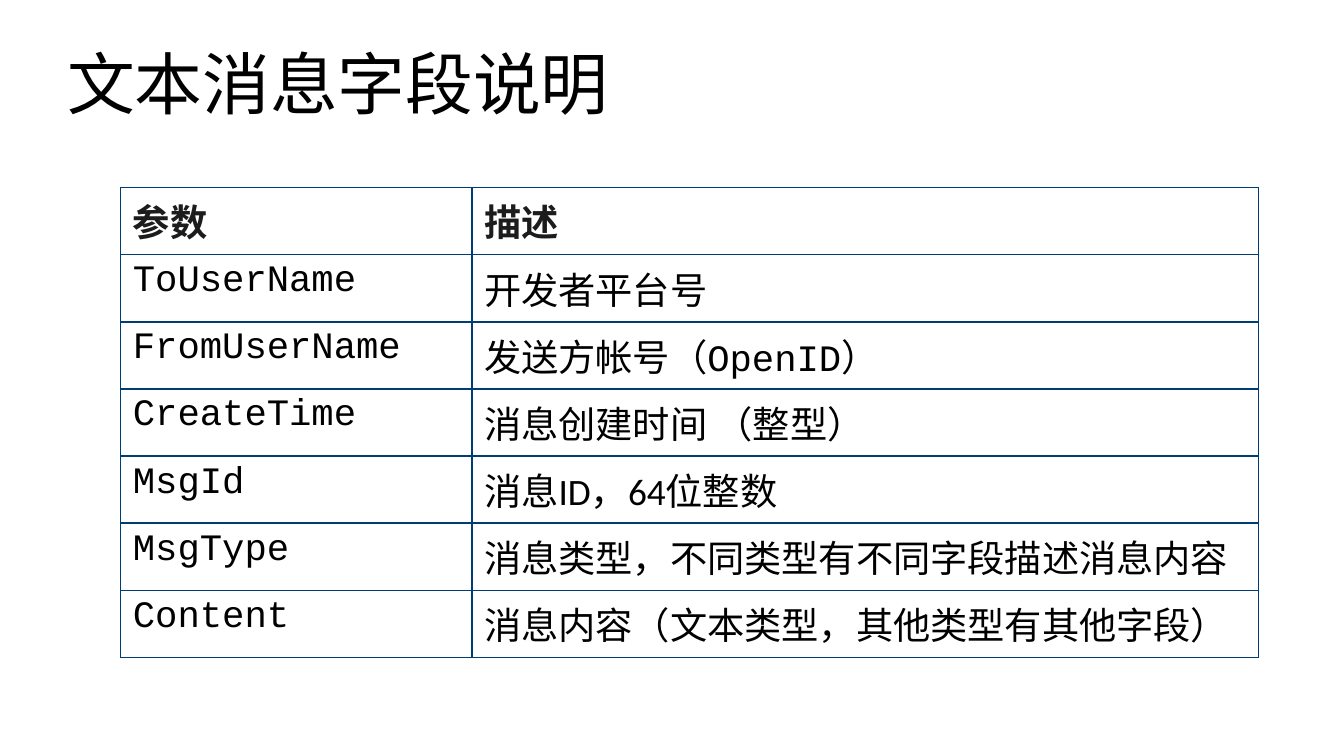
from pptx import Presentation
from pptx.dml.color import RGBColor
from pptx.enum.lang import MSO_LANGUAGE_ID as Lang
from pptx.enum.text import MSO_ANCHOR as Anchor, MSO_AUTO_SIZE as AutoSize, PP_ALIGN as Align
from pptx.oxml import parse_xml
from pptx.oxml.ns import nsdecls
from pptx.util import Inches, Pt

BLACK = RGBColor(0x00, 0x00, 0x00)
CHARCOAL = RGBColor(0x1C, 0x1C, 0x1C)
NAVY = RGBColor(0x00, 0x3D, 0x73)

SANS, CODE, MONO = "Calibri", "Courier New", "DejaVu Sans Mono"
OUTER_LINE, INNER_LINE = Pt(0.57), Pt(0.85)
COLUMN_WIDTHS = (2.88, 6.45)
ROW_HEIGHT = 0.55

HEADERS = ("参数", "描述")
FIELDS = (
    ("ToUserName", "开发者平台号", CODE),
    ("FromUserName", "发送方帐号（OpenID）", CODE),
    ("CreateTime", "消息创建时间 （整型）", SANS),
    ("MsgId", "消息ID，64位整数", SANS),
    ("MsgType", "消息类型，不同类型有不同字段描述消息内容", SANS),
    ("Content", "消息内容（文本类型，其他类型有其他字段）", SANS),
)


def add_run(p, text, font, size, color, bold=False):
    r = p.add_run()
    r.text = text
    r.font.name = font
    r.font.size = Pt(size)
    r.font.bold = bold
    r.font.color.rgb = color
    r.font.language_id = Lang.SIMPLIFIED_CHINESE


def set_title(slide, text):
    sp = slide.shapes.title
    sp.left, sp.top, sp.width, sp.height = map(Inches, (0.55, 0.25, 9.92, 0.86))
    tf = sp.text_frame
    tf.margin_left = tf.margin_top = tf.margin_right = tf.margin_bottom = 0
    tf.vertical_anchor = Anchor.MIDDLE
    tf.auto_size = AutoSize.SHAPE_TO_FIT_TEXT
    p = tf.paragraphs[0]
    p.alignment = Align.LEFT
    add_run(p, text, MONO, 40, BLACK)


def set_borders(cell, outer_sides):
    tc_pr = cell._tc.get_or_add_tcPr()
    for side in "LRTB":
        width = OUTER_LINE if side in outer_sides else INNER_LINE
        tc_pr.append(parse_xml(
            f'<a:ln{side} {nsdecls("a")} w="{width}"><a:solidFill>'
            f'<a:srgbClr val="{NAVY}"/></a:solidFill></a:ln{side}>'))


def fill_cell(cell, outer_sides, text, font, color, bold):
    set_borders(cell, outer_sides)
    cell.fill.background()
    add_run(cell.text_frame.paragraphs[0], text, font, 22, color, bold)


def add_field_table(slide):
    row_count = len(FIELDS) + 1
    table = slide.shapes.add_table(
        row_count, len(COLUMN_WIDTHS), Inches(0.99), Inches(1.54),
        Inches(sum(COLUMN_WIDTHS)), Inches(ROW_HEIGHT * row_count)).table
    table.first_row = table.horz_banding = False
    for column, width in zip(table.columns, COLUMN_WIDTHS):
        column.width = Inches(width)
    for row in table.rows:
        row.height = Inches(ROW_HEIGHT)

    for col, (side, header) in enumerate(zip("LR", HEADERS)):
        fill_cell(table.cell(0, col), side + "T", header, SANS, CHARCOAL, True)
    for row, (name, description, font) in enumerate(FIELDS, 1):
        bottom = "B" if row == len(FIELDS) else ""
        fill_cell(table.cell(row, 0), "L" + bottom, name, CODE, BLACK, False)
        fill_cell(table.cell(row, 1), "R" + bottom, description, font, BLACK, False)


def main():
    prs = Presentation()
    prs.slide_width, prs.slide_height = Inches(11.02), Inches(6.2)
    slide = prs.slides.add_slide(prs.slide_layouts[5])
    set_title(slide, "文本消息字段说明")
    add_field_table(slide)
    prs.save("out.pptx")


if __name__ == "__main__":
    main()
